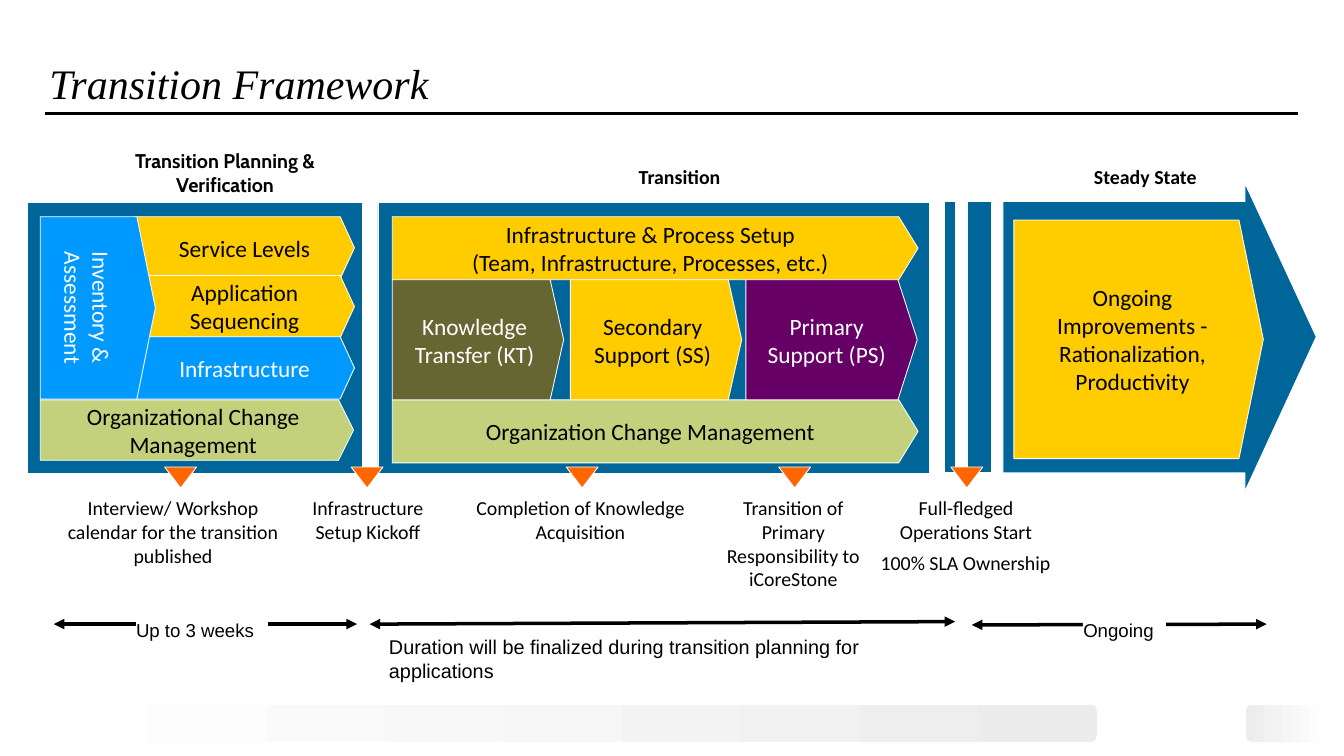
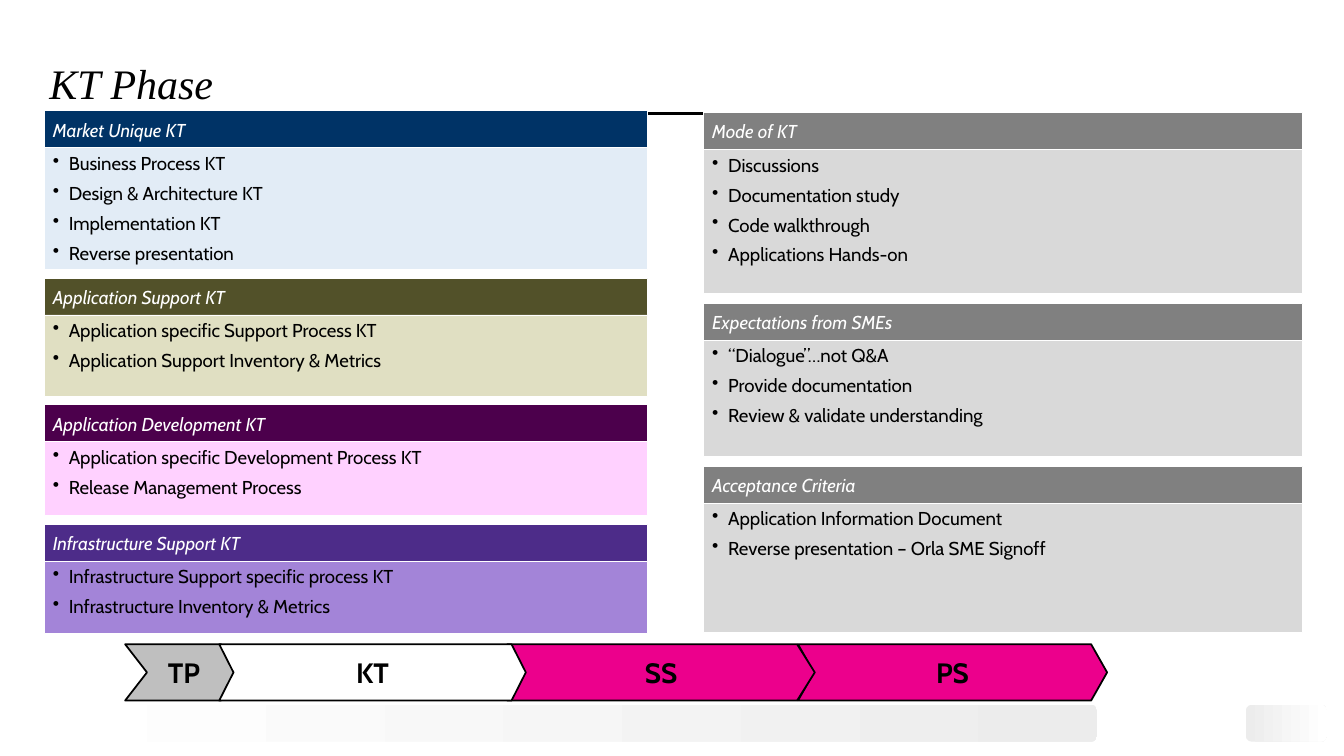
from dataclasses import dataclass

from lxml.etree import SubElement as Sub
from pptx import Presentation
from pptx.dml.color import RGBColor as Rgb
from pptx.enum.shapes import MSO_CONNECTOR as Link, MSO_SHAPE as Kind
from pptx.enum.text import MSO_ANCHOR as Anchor, PP_ALIGN as Align
from pptx.oxml.ns import qn
from pptx.util import Inches as In, Pt


@dataclass(frozen=True)
class Theme:
    """Hold the colours, type sizes and fonts."""
    black: str = "000000"
    white: str = "FFFFFF"
    mist: str = "ECECEC"
    frame: str = "006699"
    gold: str = "FFCC00"
    sky: str = "0099FF"
    lime: str = "C3D17D"
    moss: str = "666633"
    plum: str = "660066"
    flag: str = "FF6600"
    navy: str = "003366"
    ice: str = "E2ECF6"
    olive: str = "525129"
    sand: str = "E0DFC2"
    grape: str = "4C004C"
    rose: str = "FFD1FF"
    violet: str = "4D2C89"
    lilac: str = "A384D8"
    grey: str = "808080"
    ash: str = "D9D9D9"
    steel: str = "BFBFBF"
    pink: str = "EC008C"
    title: int = 36
    step: int = 24
    plate: int = 20
    label: int = 17
    text: int = 16
    serif: str = "Times New Roman"
    sans: str = "Arial"
    body: str = "Calibri"
    round: str = "Cabin"


T = Theme()
WIDE = (0.14, 0.07, 0.14, 0.07)
SLIM = (0.1, 0.05, 0.1, 0.05)
BARE = (0, 0, 0, 0)
HEAD = dict(name=T.round, size=Pt(T.text), italic=True)
ITEM = dict(name=T.round, size=Pt(T.text))
STEP = dict(name=T.round, size=Pt(T.step), bold=True)
PLATE = dict(name=T.body, size=Pt(T.plate))
NOTE = dict(name=T.body, size=Pt(T.label))
TIME = dict(name=T.sans, size=Pt(T.text))


class Deck:
    """Draw styled elements on the current slide."""

    def __init__(self):
        """Start an empty wide deck."""
        self.prs = Presentation()
        self.prs.slide_width, self.prs.slide_height = In(16), In(9)
        self.slide = None

    def page(self, title):
        """Add a slide with its bands, rule and title."""
        self.slide = self.prs.slides.add_slide(self.prs.slide_layouts[6])
        self.band(0.34, 12.72, T.white, T.mist)
        self.band(14.83, 0.97, T.mist, T.white)
        self.line(0.54, 1.35, 15.45, 1.35)
        look = dict(name=T.serif, size=Pt(T.title), italic=True)
        self.note((0.49, 0.19, 15.02, 1.14), title, look, pad=SLIM,
                  anchor=Anchor.BOTTOM, align=Align.LEFT, space=dict(line_spacing=Pt(40)))

    def band(self, x, w, first, last):
        """Add a footer band that fades sideways."""
        strip = self.shape(Kind.ROUNDED_RECTANGLE, (x, 8.39, w, 0.44), T.white, None)
        strip.fill.gradient()
        strip.fill.gradient_angle = 0
        for stop, tone in zip(strip.fill.gradient_stops, (first, last)):
            stop.color.rgb = Rgb.from_string(tone)

    def paint(self, shape, fill, edge=T.white, width=0.75):
        """Set the fill and outline of a shape."""
        shape.shadow.inherit = False
        shape.fill.solid()
        shape.fill.fore_color.rgb = Rgb.from_string(fill)
        if edge:
            shape.line.color.rgb = Rgb.from_string(edge)
            shape.line.width = Pt(width)
        else:
            shape.line.fill.background()
        return shape

    def shape(self, kind, box, fill, edge=T.white, width=0.75, tip=None):
        """Add a preset shape, with its point in inches."""
        shape = self.slide.shapes.add_shape(kind, *map(In, box))
        if tip:
            shape.adjustments[0] = tip / min(box[2:])
        return self.paint(shape, fill, edge, width)

    def label(self, shape, text, look, tone=T.black, pad=WIDE, anchor=Anchor.MIDDLE,
              align=Align.CENTER, wrap=True, space=None, dent=0, dots=False):
        """Put styled paragraphs into a shape."""
        frame = shape.text_frame
        left, top, right, low = map(In, pad)
        form = dict(word_wrap=wrap, vertical_anchor=anchor, margin_left=left,
                    margin_top=top, margin_right=right, margin_bottom=low)
        for key, val in form.items():
            setattr(frame, key, val)
        for num, line in enumerate(text.split("\n")):
            para = frame.add_paragraph() if num else frame.paragraphs[0]
            prop = para._p.get_or_add_pPr()
            if dots:
                prop.set("marL", str(In(0.19)))
                prop.set("indent", str(-In(0.19)))
                Sub(prop, qn("a:buChar")).set("char", "•")
            elif dent:
                prop.set("marL", str(In(dent)))
            for key, val in dict(space or {}, alignment=align).items():
                setattr(para, key, val)
            run = para.add_run()
            run.text = line
            for key, val in look.items():
                setattr(run.font, key, val)
            run.font.color.rgb = Rgb.from_string(tone)

    def note(self, box, text, look, anchor=Anchor.TOP, **form):
        """Add a text box."""
        shape = self.slide.shapes.add_textbox(*map(In, box))
        self.label(shape, text, look, anchor=anchor, **form)
        return shape

    def plate(self, box, tip, fill, text="", tone=T.black, dent=0):
        """Add a pointed plate with centred text."""
        shape = self.shape(Kind.PENTAGON, box, fill, tip=tip)
        if text:
            self.label(shape, text, PLATE, tone, dent=dent)

    def line(self, x, y, to_x, to_y, heads=False):
        """Add a straight line, with arrowheads if asked."""
        link = self.slide.shapes.add_connector(Link.STRAIGHT, In(x), In(y), In(to_x), In(to_y))
        link.line.color.rgb = Rgb.from_string(T.black)
        link.line.width = Pt(3)
        prop = link._element.spPr
        if heads:
            for end in ("a:headEnd", "a:tailEnd"):
                Sub(prop.find(qn("a:ln")), qn(end)).set("type", "triangle")
        Sub(prop, qn("a:effectLst"))

    def outline(self, parts, fill):
        """Add one free shape made of closed parts."""
        parts = [[(In(x), In(y)) for x, y in part] for part in parts]
        pen = self.slide.shapes.build_freeform(*parts[0][0])
        for num, part in enumerate(parts):
            if num:
                pen.move_to(*part[0])
            pen.add_line_segments(part[1:], close=True)
        self.paint(pen.convert_to_shape(), fill)

    def stack(self, x, y, w, gap, cards):
        """Pile titled bullet cards down a column."""
        for head, fill, pale, high, text in cards:
            top = self.shape(Kind.RECTANGLE, (x, y, w, 0.45), fill)
            self.label(top, head, HEAD, T.white, SLIM, align=Align.LEFT)
            body = self.shape(Kind.RECTANGLE, (x, y + 0.44, w, high), pale)
            self.label(body, text, ITEM, pad=SLIM, anchor=Anchor.TOP, align=Align.LEFT,
                       space=dict(space_after=Pt(6.4)), dots=True)
            y += 0.44 + high + gap


def bar(x, to_x):
    """Give the corners of an upright bar."""
    return [(x, 2.4), (x, 5.63), (to_x, 5.63), (to_x, 2.4)]


def plan(deck):
    """Draw the framework slide."""
    deck.page("Transition Framework")
    for ends in ((0.64, 7.43, 4.25, 7.43), (4.4, 7.43, 11.37, 7.4), (11.57, 7.44, 15.08, 7.43)):
        deck.line(*ends, heads=True)
    for x, w, text, align in ((1.62, 1.57, "Up to 3 weeks", Align.LEFT),
                              (12.89, 0.99, "Ongoing", Align.CENTER)):
        mask = deck.shape(Kind.RECTANGLE, (x, 7.27, w, 0.44), T.white, None)
        deck.label(mask, text, TIME, pad=(0, 0.07, 0.14, 0.07), anchor=Anchor.TOP,
                   align=align, wrap=False, space=dict(line_spacing=1.1))

    arrow = [(14.82, 2.18), (14.82, 2.4), (11.94, 2.4), (11.94, 5.63),
             (14.82, 5.63), (14.82, 5.85), (15.67, 4.01)]
    deck.outline([arrow, bar(11.52, 11.8), bar(11.24, 11.38)], T.frame)
    for x, w in ((4.5, 6.57), (0.33, 3.99)):
        deck.shape(Kind.RECTANGLE, (x, 2.41, w, 3.23), T.frame)

    for y, fill, text, tone in ((2.58, T.gold, "Service Levels", T.black),
                                (3.28, T.gold, "Application Sequencing", T.black),
                                (4.01, T.sky, "Infrastructure", T.white)):
        deck.plate((1.61, y, 2.61, 0.74), 0.17, fill, text, tone, 0.08)
    deck.plate((0.48, 4.76, 3.73, 0.72), 0.18, T.lime, "Organizational Change Management")
    deck.plate((0.48, 2.58, 1.37, 2.17), 0.22, T.sky)
    side = deck.note((-0.04, 3.31, 2.17, 0.71), "Inventory & Assessment", PLATE,
                     Anchor.MIDDLE, tone=T.white)
    side.rotation = 90

    setup = "Infrastructure & Process Setup\n(Team, Infrastructure, Processes, etc.)"
    for y, fill, text in ((2.58, T.gold, setup), (4.76, T.lime, "Organization Change Management")):
        deck.plate((4.67, y, 6.26, 0.75), 0.23, fill, text)
    for x, tip, fill, text, tone in (
            (4.67, 0.16, T.moss, "Knowledge Transfer (KT)", T.white),
            (6.79, 0.16, T.gold, "Secondary Support (SS)", T.black),
            (8.88, 0.23, T.plum, "Primary Support (PS)", T.white)):
        deck.plate((x, 3.33, 2.04, 1.43), tip, fill, text, tone)
    deck.plate((12.07, 2.62, 2.97, 2.84), 0.29, T.gold,
               "Ongoing Improvements - Rationalization, Productivity")

    for x in (1.96, 4.18, 11.32, 6.74, 9.27):
        mark = deck.shape(Kind.ISOSCELES_TRIANGLE, (x, 5.56, 0.38, 0.25), T.flag)
        mark.rotation = 180
    for x, y, w, text in (
            (0.62, 5.83, 2.88, "Interview/ Workshop calendar for the transition published"),
            (3.37, 5.83, 2.02, "Infrastructure Setup Kickoff"),
            (5.35, 5.83, 3.12, "Completion of Knowledge Acquisition"),
            (8.41, 5.83, 2.07, "Transition of Primary Responsibility to iCoreStone"),
            (10.49, 5.83, 2.02, "Full-fledged Operations Start"),
            (10.34, 6.49, 2.31, "100% SLA Ownership")):
        deck.note((x, y, w, 1.11), text, NOTE)
    for x, y, w, h, font, text in (
            (0.54, 1.77, 4.28, 0.57, T.round, "Transition Planning &\nVerification"),
            (6.13, 1.96, 3.92, 0.29, T.body, "Transition"),
            (11.67, 1.96, 3.93, 0.29, T.body, "Steady State")):
        deck.note((x, y, w, h), text, dict(NOTE, name=font, bold=True), pad=BARE)
    deck.note((4.49, 7.49, 6.61, 0.72),
              "Duration will be finalized during transition planning for applications",
              dict(NOTE, name=T.sans), align=Align.LEFT)


def phase(deck):
    """Draw the knowledge transfer slide."""
    deck.page("KT Phase")
    deck.stack(0.53, 1.32, 7.18, 0.1, (
        ("Market Unique KT", T.navy, T.ice, 1.45,
         "Business Process KT\nDesign & Architecture KT\nImplementation KT\nReverse presentation"),
        ("Application Support KT", T.olive, T.sand, 0.97,
         "Application specific Support Process KT\nApplication Support Inventory & Metrics"),
        ("Application Development KT", T.grape, T.rose, 0.88,
         "Application specific Development Process KT\nRelease Management Process"),
        ("Infrastructure Support KT", T.violet, T.lilac, 0.86,
         "Infrastructure Support specific process KT\nInfrastructure Inventory & Metrics")))
    deck.stack(8.38, 1.34, 7.13, 0.12, (
        ("Mode of KT", T.grey, T.ash, 1.71,
         "Discussions\nDocumentation study\nCode walkthrough\nApplications Hands-on"),
        ("Expectations from SMEs", T.grey, T.ash, 1.38,
         "“Dialogue”…not Q&A\nProvide documentation\nReview & validate understanding"),
        ("Acceptance Criteria", T.grey, T.ash, 1.54,
         "Application Information Document\nReverse presentation – Orla SME Signoff")))
    for x, w, tip, fill, text in ((1.49, 1.4, 0.26, T.steel, "TP"), (9.5, 3.68, 0.19, T.pink, "PS"),
                                  (6.04, 3.66, 0.21, T.pink, "SS"), (2.61, 3.65, 0.17, T.white, "KT")):
        step = deck.shape(Kind.CHEVRON, (x, 7.67, w, 0.67), fill, T.black, 1.5, tip)
        deck.label(step, text, STEP, pad=SLIM)


def main():
    """Build and save the deck."""
    deck = Deck()
    plan(deck)
    phase(deck)
    deck.prs.save("out.pptx")


if __name__ == "__main__":
    main()
